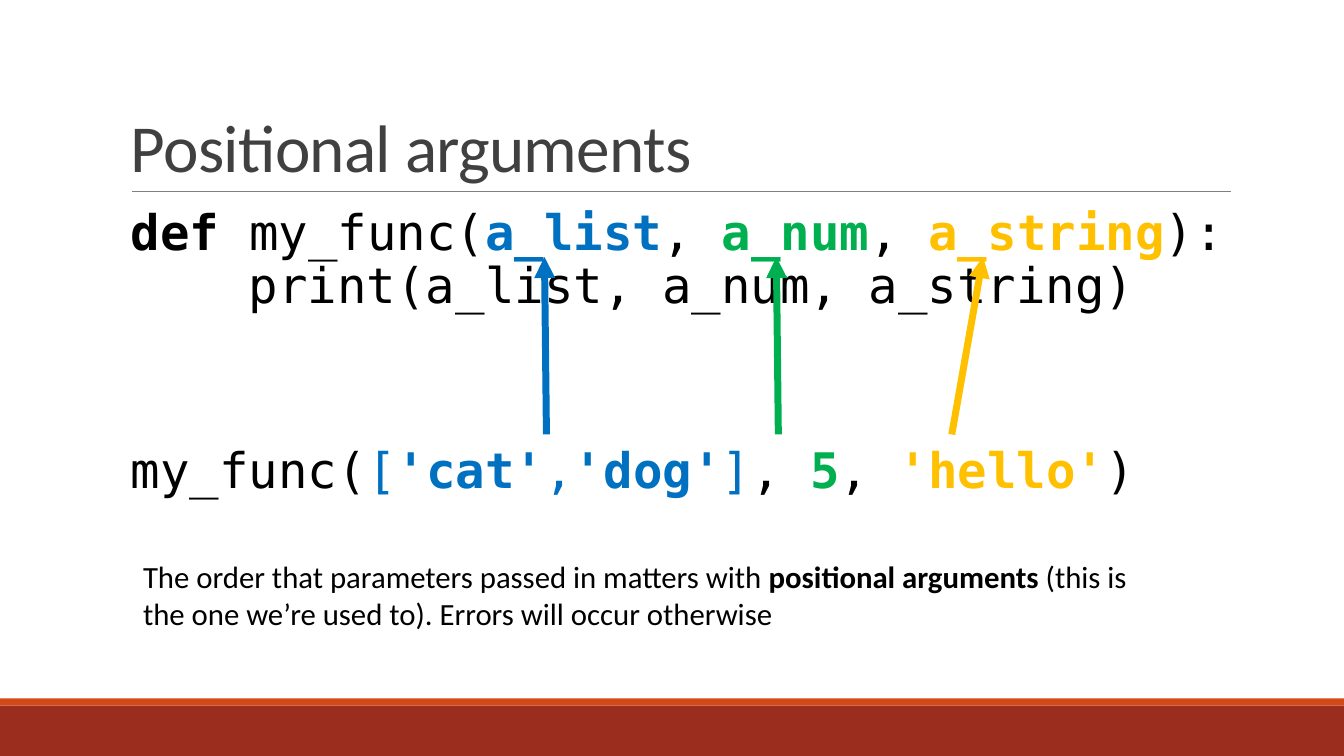
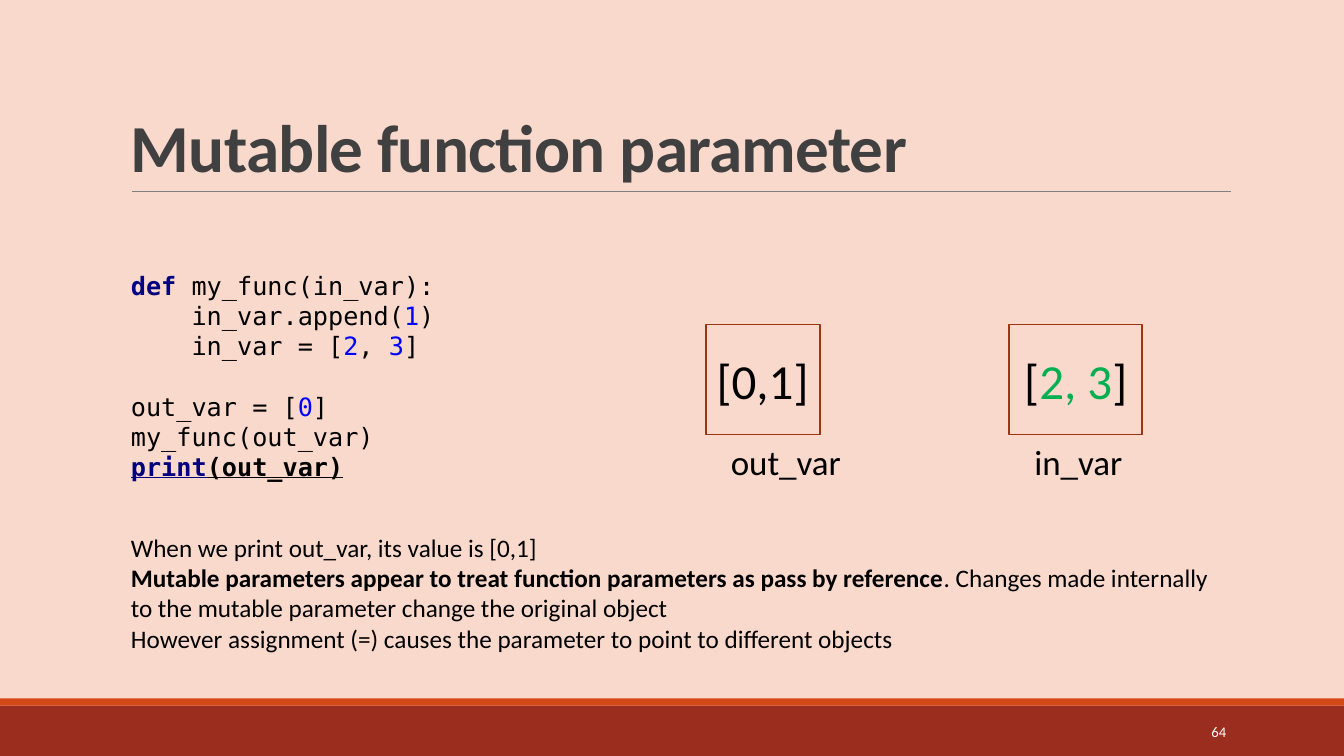
from dataclasses import dataclass
from typing import Optional

from lxml import etree
from pptx import Presentation
from pptx.dml.color import RGBColor
from pptx.enum.shapes import MSO_CONNECTOR, MSO_SHAPE
from pptx.enum.text import MSO_ANCHOR, PP_ALIGN
from pptx.oxml.ns import qn
from pptx.util import Inches, Pt

RECTANGLE = MSO_SHAPE.RECTANGLE
STRAIGHT = MSO_CONNECTOR.STRAIGHT
TOP, MIDDLE, BOTTOM = MSO_ANCHOR.TOP, MSO_ANCHOR.MIDDLE, MSO_ANCHOR.BOTTOM
LEFT, CENTER, RIGHT = PP_ALIGN.LEFT, PP_ALIGN.CENTER, PP_ALIGN.RIGHT


@dataclass(frozen=True)
class Theme:
    """Colours, fonts and type sizes of the deck."""
    white: str = "FFFFFF"
    black: str = "000000"
    peach: str = "FAD9CD"
    brick: str = "9B2D1F"
    orange: str = "D34817"
    rule: str = "808080"
    heading: str = "404040"
    frame: str = "9C3511"
    blue: str = "0070C0"
    green: str = "00B050"
    gold: str = "FFC000"
    keyword: str = "000080"
    number: str = "0000FF"
    sans: str = "Calibri"
    mono: str = "DejaVu Sans Mono"
    title_size: float = 48
    display_size: float = 35
    label_size: float = 25
    note_size: float = 22
    body_size: float = 18
    page_size: float = 10.5


THEME = Theme()


@dataclass(frozen=True)
class Span:
    """A stretch of text with its own emphasis."""
    text: str
    color: Optional[str] = None
    bold: Optional[bool] = None
    underline: Optional[bool] = None
    spacing: Optional[int] = None


class Deck:
    """Builds slides that share one style."""

    def __init__(self):
        self.presentation = Presentation()
        self.presentation.slide_width = Inches(13.33)
        self.presentation.slide_height = Inches(7.5)
        self.slide = None

    def add_slide(self, title, background, bold=False):
        layout = self.presentation.slide_layouts[6]
        self.slide = self.presentation.slides.add_slide(layout)
        fill = self.slide.background.fill
        fill.solid()
        fill.fore_color.rgb = RGBColor.from_string(background)
        self.box(0, 7, 13.33, 0.5, fill=THEME.brick)
        self.box(0, 6.93, 13.33, 0.07, fill=THEME.orange)
        self.line((1.31, 1.9), (12.21, 1.9), THEME.rule, 0.5)
        self.text(1.2, 0.31, 11, 1.59, [[Span(title, bold=bold, spacing=-50)]],
                  THEME.title_size, color=THEME.heading, anchor=BOTTOM, line_spacing=0.85)

    def box(self, left, top, width, height, fill=None, outline=None):
        shape = self.slide.shapes.add_shape(
            RECTANGLE, Inches(left), Inches(top), Inches(width), Inches(height))
        shape.shadow.inherit = False
        if fill:
            shape.fill.solid()
            shape.fill.fore_color.rgb = RGBColor.from_string(fill)
        else:
            shape.fill.background()
        if outline:
            shape.line.color.rgb = RGBColor.from_string(outline)
            shape.line.width = Pt(1.25)
        else:
            shape.line.fill.background()
        return shape

    def line(self, start, end, color, width, arrow=False):
        points = [Inches(value) for value in (*start, *end)]
        connector = self.slide.shapes.add_connector(STRAIGHT, *points)
        connector.line.color.rgb = RGBColor.from_string(color)
        connector.line.width = Pt(width)
        properties = connector._element.spPr
        if arrow:
            etree.SubElement(properties.find(qn("a:ln")), qn("a:tailEnd"), type="triangle")
        etree.SubElement(properties, qn("a:effectLst"))

    def text(self, left, top, width, height, paragraphs, size, **style):
        shape = self.slide.shapes.add_textbox(
            Inches(left), Inches(top), Inches(width), Inches(height))
        self.fill_frame(shape.text_frame, paragraphs, size, **style)

    def value_box(self, left, width, spans, name):
        shape = self.box(left, 3.22, width, 1.09, outline=THEME.frame)
        self.fill_frame(shape.text_frame, [spans], THEME.display_size,
                        anchor=MIDDLE, align=CENTER)
        self.text(left + 0.15, 4.32, 1.5, 0.52, [[Span(name)]], THEME.label_size)

    def fill_frame(self, frame, paragraphs, size, font=THEME.sans, color=THEME.black,
                   anchor=TOP, align=LEFT, line_spacing=1.0, gap=0):
        frame.word_wrap = True
        frame.vertical_anchor = anchor
        for index, spans in enumerate(paragraphs):
            paragraph = frame.add_paragraph() if index else frame.paragraphs[0]
            paragraph.alignment = align
            paragraph.line_spacing = line_spacing
            if index:
                paragraph.space_before = Pt(gap)
            paragraph.font.name = font
            paragraph.font.size = Pt(size)
            paragraph.font.color.rgb = RGBColor.from_string(color)
            for span in spans:
                self.add_span(paragraph, span)

    def add_span(self, paragraph, span):
        for index, piece in enumerate(span.text.split("\n")):
            if index:
                paragraph.add_line_break()
            if not piece:
                continue
            run = paragraph.add_run()
            run.text = piece
            run.font.bold = span.bold
            run.font.underline = span.underline
            if span.color:
                run.font.color.rgb = RGBColor.from_string(span.color)
            if span.spacing:
                run._r.get_or_add_rPr().set("spc", str(span.spacing))


def positional_arguments(deck):
    """Shows how arguments map to parameters by order."""
    deck.add_slide("Positional arguments", THEME.white)
    definition = [
        Span("def ", bold=True), Span("my_func("),
        Span("a_list", THEME.blue, True), Span(", "),
        Span("a_num", THEME.green, True), Span(", "),
        Span("a_string", THEME.gold, True),
        Span("):\n    print(a_list, a_num, a_string)"),
    ]
    call = [
        Span("my_func("), Span("[", THEME.blue), Span("'cat'", THEME.blue, True),
        Span(",", THEME.blue), Span("'dog'", THEME.blue, True), Span("]", THEME.blue),
        Span(", "), Span("5", THEME.green, True), Span(", "),
        Span("'hello'", THEME.gold, True), Span(")"),
    ]
    deck.text(1.2, 2.02, 11.2, 3.2, [definition, call], THEME.display_size,
              font=THEME.mono, line_spacing=0.9, gap=94)
    for start, end, color in ((5.42, 5.4, THEME.blue), (7.72, 7.7, THEME.green),
                              (9.44, 9.75, THEME.gold)):
        deck.line((start, 4.31), (end, 2.55), color, 5, arrow=True)
    deck.text(1.32, 5.48, 10.32, 0.84, [[
        Span("The order that parameters passed in matters with "),
        Span("positional arguments", bold=True),
        Span(" (this is the one we’re used to). Errors will occur otherwise"),
    ]], THEME.note_size)


def mutable_parameter(deck):
    """Shows what happens to a mutable argument."""
    deck.add_slide("Mutable function parameter", THEME.peach, bold=True)
    deck.text(10.83, 7.06, 1.43, 0.4, [[Span("64")]], THEME.page_size,
              color=THEME.white, anchor=MIDDLE, align=RIGHT)
    deck.text(1.2, 2.62, 4.66, 2.22, [[
        Span("def ", THEME.keyword, True),
        Span("my_func(in_var):\n    in_var.append("), Span("1", THEME.number),
        Span(")\n    in_var = ["), Span("2", THEME.number),
        Span(", "), Span("3", THEME.number),
        Span("]\n\nout_var = ["), Span("0", THEME.number),
        Span("]\nmy_func(out_var)\n"),
        Span("print", THEME.keyword, True, True),
        Span("(out_var)", bold=True, underline=True),
    ]], THEME.body_size, font=THEME.mono, anchor=MIDDLE)
    deck.text(1.2, 5.23, 11.06, 1.31, [
        [Span("When we print out_var, its value is [0,1]")],
        [Span("Mutable parameters appear to treat function parameters as pass by reference",
              bold=True),
         Span(". Changes made internally to the mutable parameter change the original object")],
        [Span("However assignment (=) causes the parameter to point to different objects")],
    ], THEME.body_size)
    deck.value_box(7, 1.13, [Span("[0,1]")], "out_var")
    deck.value_box(10.01, 1.32, [Span("["), Span("2, 3", THEME.green), Span("]")], "in_var")


def main():
    """Builds and saves the deck."""
    deck = Deck()
    positional_arguments(deck)
    mutable_parameter(deck)
    deck.presentation.save("out.pptx")


if __name__ == "__main__":
    main()
